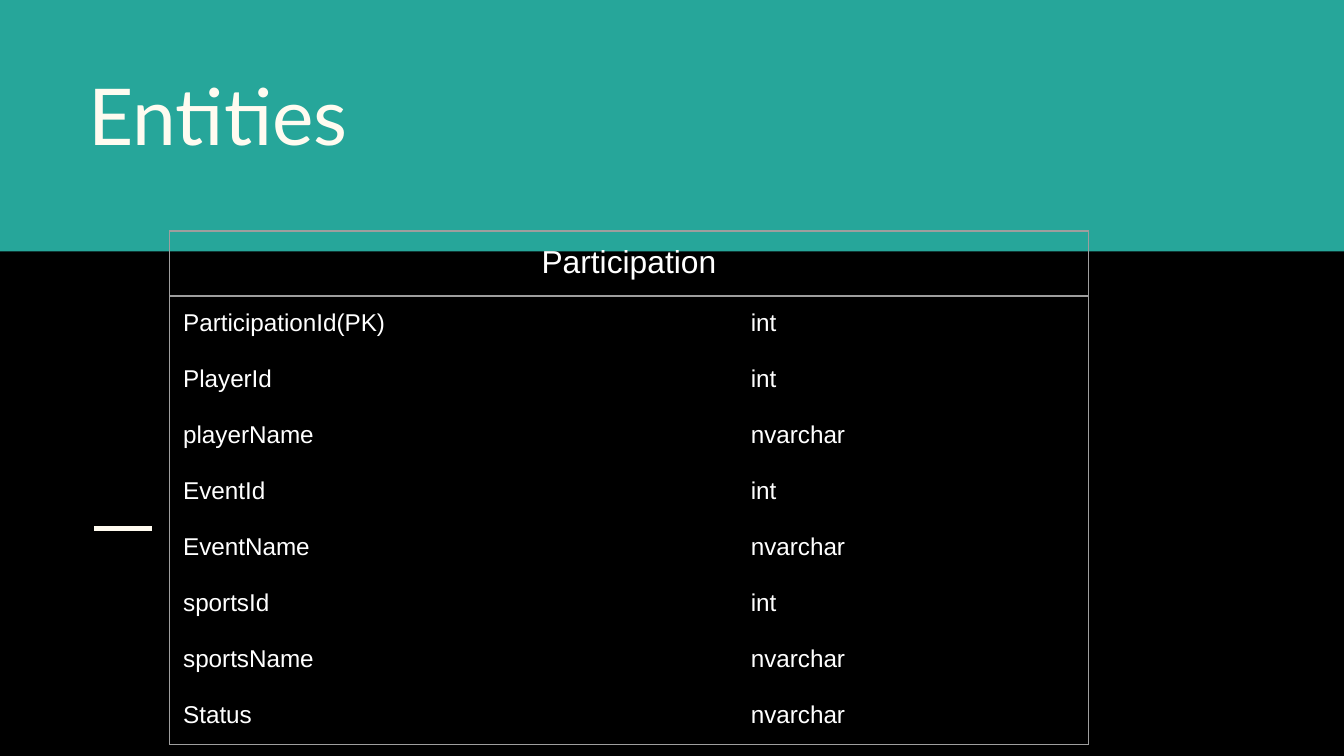
from dataclasses import dataclass

import pptx
import pptx.dml.color
import pptx.enum.shapes
import pptx.enum.text
import pptx.oxml.ns
import pptx.util
from lxml import etree


@dataclass(frozen=True)
class Theme:
    """Colours, fonts and sizes of the slide."""
    background: str = "000000"
    banner: str = "26A69A"
    cream: str = "FFFBF0"
    white: str = "FFFFFF"
    border: str = "9E9E9E"
    title_font: str = "Lato"
    table_font: str = "Arial"
    title_size: float = 42
    header_size: float = 17
    body_size: float = 13
    rule_width: float = 2.25
    border_width: float = 0.75
    inset: float = 0.1


THEME = Theme()
WIDTH = pptx.util.Inches(10)
HEIGHT = WIDTH * 9 // 16
GRID = 100
ENTITY = "Participation"
FIELDS = [
    ("ParticipationId(PK)", "int"),
    ("PlayerId", "int"),
    ("playerName", "nvarchar"),
    ("EventId", "int"),
    ("EventName", "nvarchar"),
    ("sportsId", "int"),
    ("sportsName", "nvarchar"),
    ("Status", "nvarchar"),
]


def grid_box(left, top, width, height):
    """Turn grid columns and rows into slide lengths."""
    return (int(WIDTH * left / GRID), int(HEIGHT * top / GRID),
            int(WIDTH * width / GRID), int(HEIGHT * height / GRID))


def colour(value):
    """Return an RGB colour."""
    return pptx.dml.color.RGBColor.from_string(value)


def write_text(text_frame, text, font, size, text_colour):
    """Write one formatted paragraph and return it."""
    text_frame.text = text
    paragraph = text_frame.paragraphs[0]
    run_font = paragraph.runs[0].font
    run_font.name, run_font.size = font, pptx.util.Pt(size)
    run_font.color.rgb = colour(text_colour)
    return paragraph


def set_insets(target):
    """Give a cell or text frame equal margins."""
    for side in ("left", "top", "right", "bottom"):
        setattr(target, f"margin_{side}", pptx.util.Inches(THEME.inset))


def add_banner(slide, box):
    """Fill the box with the title banner."""
    shape = slide.shapes.add_shape(pptx.enum.shapes.MSO_SHAPE.RECTANGLE, *box)
    shape.shadow.inherit = False
    shape.fill.solid()
    shape.fill.fore_color.rgb = colour(THEME.banner)
    shape.line.fill.background()


def add_rule(slide, box):
    """Draw the accent rule along the top of the box."""
    left, top, width, _ = box
    connector = slide.shapes.add_connector(
        pptx.enum.shapes.MSO_CONNECTOR.STRAIGHT, left, top, left + width, top)
    connector.line.color.rgb = colour(THEME.cream)
    connector.line.width = pptx.util.Pt(THEME.rule_width)
    etree.SubElement(connector._element.spPr, pptx.oxml.ns.qn("a:effectLst"))


def add_title(slide, box, text):
    """Place the slide title at the bottom of the box."""
    text_frame = slide.shapes.add_textbox(*box).text_frame
    text_frame.word_wrap = True
    text_frame.vertical_anchor = pptx.enum.text.MSO_ANCHOR.BOTTOM
    set_insets(text_frame)
    write_text(text_frame, text, THEME.title_font, THEME.title_size, THEME.cream)


def set_borders(cell, edges):
    """Draw the named cell edges and hide the others."""
    properties = cell._tc.get_or_add_tcPr()
    for edge in "LRTB":
        line = etree.SubElement(properties, pptx.oxml.ns.qn(f"a:ln{edge}"))
        line.set("w", str(pptx.util.Pt(THEME.border_width)))
        if edge in edges:
            fill = etree.SubElement(line, pptx.oxml.ns.qn("a:solidFill"))
            etree.SubElement(fill, pptx.oxml.ns.qn("a:srgbClr")).set("val", THEME.border)
        else:
            etree.SubElement(line, pptx.oxml.ns.qn("a:noFill"))


def add_entity_table(slide, box, entity, fields):
    """Build the entity table with a merged header row."""
    _, _, width, height = box
    frame = slide.shapes.add_table(len(fields) + 1, 2, *box)
    table = frame.table
    table.first_row = table.horz_banding = False
    for column, share in zip(table.columns, (0.618, 0.382)):
        column.width = int(width * share)
    for index, row in enumerate(table.rows):
        row.height = int(height * (0.85 / len(fields) if index else 0.125))
    frame.height = height
    table.cell(0, 0).merge(table.cell(0, 1))

    for row, values in enumerate([(entity, ""), *fields]):
        for column, value in enumerate(values):
            cell = table.cell(row, column)
            set_insets(cell)
            visible = {
                "L": column == 0,
                "R": column == 1 or row == 0,
                "T": row <= 1,
                "B": row in (0, len(fields)),
            }
            set_borders(cell, [edge for edge, shown in visible.items() if shown])
            cell.fill.background()
            if value:
                size = THEME.body_size if row else THEME.header_size
                paragraph = write_text(
                    cell.text_frame, value, THEME.table_font, size, THEME.white)
                if row == 0:
                    paragraph.alignment = pptx.enum.text.PP_ALIGN.CENTER


def main():
    """Build and save the presentation."""
    presentation = pptx.Presentation()
    presentation.slide_width, presentation.slide_height = WIDTH, HEIGHT
    slide = presentation.slides.add_slide(presentation.slide_layouts[6])
    slide.background.fill.solid()
    slide.background.fill.fore_color.rgb = colour(THEME.background)
    add_banner(slide, grid_box(0, 0, GRID, 33.27))
    add_rule(slide, grid_box(7, 69.91, 4.3, 0))
    add_title(slide, grid_box(5.6, 6.9, 88.8, 16.18), "Entities")
    add_entity_table(slide, grid_box(12.63, 30.55, 68.35, 58.25), ENTITY, FIELDS)
    presentation.save("out.pptx")


if __name__ == "__main__":
    main()
